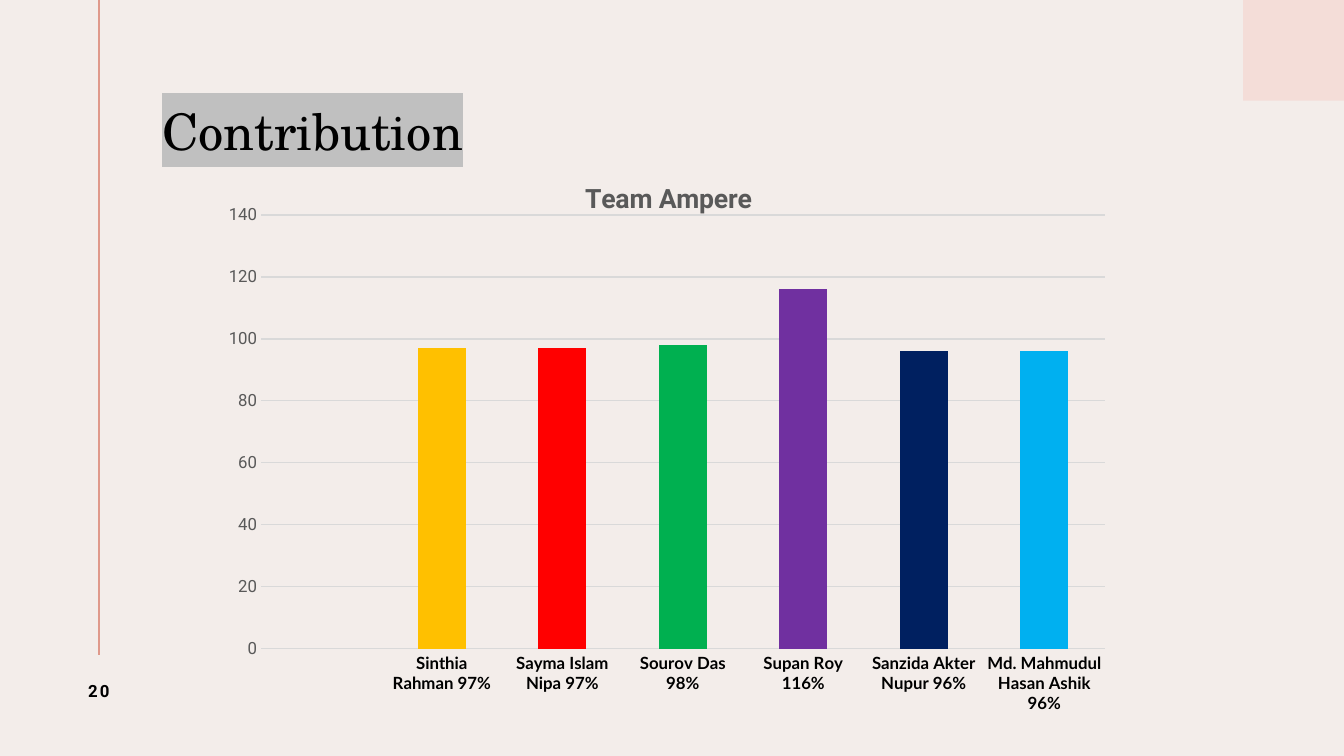
from dataclasses import dataclass

from lxml import etree
from pptx import Presentation
from pptx import util as u
from pptx.chart import data as chart_data
from pptx.dml.color import RGBColor
from pptx.enum import chart as charts, shapes, text
from pptx.oxml import ns

COLUMNS, ROWS = 133.3, 75
CELL = u.Inches(0.1)


@dataclass(frozen=True)
class Theme:
    background: str = "F3EDEA"
    corner: str = "F4DDD8"
    rule: str = "DF998B"
    ink: str = "000000"
    muted: str = "595959"
    grid: str = "D9D9D9"
    highlight: str = "C0C0C0"
    series: str = "58696B"
    heading_font: str = "TeX Gyre Schola"
    body_font: str = "Roboto"
    label_font: str = "Lato"
    heading_size: float = 36
    chart_title_size: float = 19
    label_size: float = 12
    chart_size: float = 10


MEMBERS = [
    ("Sinthia Rahman", 97, "FFC000"),
    ("Sayma Islam Nipa", 97, "FF0000"),
    ("Sourov Das", 98, "00B050"),
    ("Supan Roy", 116, "7030A0"),
    ("Sanzida Akter Nupur", 96, "002060"),
    ("Md. Mahmudul Hasan Ashik", 96, "00B0F0"),
]


def cells(*counts):
    """Turn counts of grid cells into lengths."""
    return [u.Emu(round(count * CELL)) for count in counts]


def rgb(value):
    return RGBColor.from_string(value)


def style_font(font, name, size, color, bold=False):
    font.name, font.size, font.bold = name, u.Pt(size), bold
    font.color.rgb = rgb(color)


def write(paragraph, words, highlight=None, spacing=None, align=None,
          line_spacing=None, **font):
    """Add a formatted run; spacing is in points between letters."""
    run = paragraph.add_run()
    run.text = words
    style_font(run.font, **font)
    if align is not None:
        paragraph.alignment = align
    if line_spacing:
        paragraph.line_spacing = line_spacing
    properties = run.font.fill._xPr
    if spacing:
        properties.set("spc", str(round(spacing * 100)))
    if highlight:
        mark = etree.Element(ns.qn("a:highlight"))
        etree.SubElement(mark, ns.qn("a:srgbClr"), val=highlight)
        properties.find(ns.qn("a:solidFill")).addnext(mark)


def place_manually(parent, **settings):
    """Give a chart title or plot area a fixed layout, in shares of the chart."""
    layout = parent.find(ns.qn("c:layout"))
    if layout is None:
        layout = etree.Element(ns.qn("c:layout"))
        words = parent.find(ns.qn("c:tx"))
        if words is None:
            parent.insert(0, layout)
        else:
            words.addnext(layout)
    for child in list(layout):
        layout.remove(child)
    manual = etree.SubElement(layout, ns.qn("c:manualLayout"))
    for name, value in settings.items():
        etree.SubElement(manual, ns.qn(f"c:{name}"), val=str(value))


class SlideBuilder:
    def __init__(self, presentation, theme):
        self.theme = theme
        self.slide = presentation.slides.add_slide(presentation.slide_layouts[5])
        fill = self.slide.background.fill
        fill.solid()
        fill.fore_color.rgb = rgb(theme.background)

    def block(self, left, top, width, height, color):
        shape = self.slide.shapes.add_shape(
            shapes.MSO_SHAPE.RECTANGLE, *cells(left, top, width, height))
        shape.shadow.inherit = False
        shape.fill.solid()
        shape.fill.fore_color.rgb = rgb(color)
        shape.line.fill.background()

    def rule(self, x1, y1, x2, y2, color, weight):
        connector = self.slide.shapes.add_connector(
            shapes.MSO_CONNECTOR.STRAIGHT, *cells(x1, y1, x2, y2))
        connector.line.color.rgb = rgb(color)
        connector.line.width = u.Pt(weight)
        etree.SubElement(connector._element.spPr, ns.qn("a:effectLst"))

    def title(self, words, left, top, width, height):
        title = self.slide.shapes.title
        title.left, title.top, title.width, title.height = cells(left, top, width, height)
        frame = title.text_frame
        frame.margin_left = 0
        frame.vertical_anchor = text.MSO_ANCHOR.MIDDLE
        theme = self.theme
        write(frame.paragraphs[0], words, name=theme.heading_font,
              size=theme.heading_size, color=theme.ink, highlight=theme.highlight,
              align=text.PP_ALIGN.LEFT, line_spacing=0.9)

    def page_number(self, words, left, top, width, height):
        frame = self.slide.shapes.add_textbox(*cells(left, top, width, height)).text_frame
        frame.word_wrap = True
        frame.vertical_anchor = text.MSO_ANCHOR.MIDDLE
        theme = self.theme
        write(frame.paragraphs[0], words, name=theme.body_font, size=theme.label_size,
              color=theme.ink, bold=True, spacing=1.5, align=text.PP_ALIGN.CENTER)

    def column_chart(self, heading, members, left, top, width, height):
        """Draw one coloured column per member, after an empty first category."""
        theme = self.theme
        data = chart_data.CategoryChartData()
        data.categories = [""] + [f"{name} {share}%" for name, share, _ in members]
        data.add_series("Series 1", [None] + [share for _, share, _ in members])
        chart = self.slide.shapes.add_chart(
            charts.XL_CHART_TYPE.COLUMN_STACKED,
            *cells(left, top, width, height), data).chart
        style_font(chart.font, theme.body_font, theme.chart_size, theme.ink)
        chart.has_legend = False

        chart.has_title = True
        write(chart.chart_title.text_frame.paragraphs[0], heading, name=theme.body_font,
              size=theme.chart_title_size, color=theme.muted, bold=True)
        chart.chart_title.include_in_layout = False
        place_manually(chart.chart_title._element, xMode="edge", yMode="edge",
                       x=0.41, y=0.03)

        plot = chart.plots[0]
        plot.gap_width, plot.overlap, plot.vary_by_categories = 150, 100, False
        place_manually(plot._element.getparent(), layoutTarget="inner", xMode="edge",
                       yMode="edge", x=0.054, y=0.095, w=0.941, h=0.726)
        series = plot.series[0]
        series.format.fill.solid()
        series.format.fill.fore_color.rgb = rgb(theme.series)
        for index, (_, _, color) in enumerate(members, start=1):
            fill = series.points[index].format.fill
            fill.solid()
            fill.fore_color.rgb = rgb(color)

        for axis in (chart.category_axis, chart.value_axis):
            axis.major_tick_mark = axis.minor_tick_mark = charts.XL_TICK_MARK.NONE
            axis.format.line.fill.background()
        style_font(chart.category_axis.tick_labels.font, theme.label_font,
                   theme.label_size, theme.ink, bold=True)
        values = chart.value_axis
        style_font(values.tick_labels.font, theme.body_font, theme.label_size, theme.muted)
        values.minimum_scale, values.maximum_scale, values.major_unit = 0, 140, 20
        values.has_major_gridlines = True
        values.major_gridlines.format.line.color.rgb = rgb(theme.grid)
        values.major_gridlines.format.line.width = u.Pt(0.75)


def main():
    presentation = Presentation()
    presentation.slide_width, presentation.slide_height = cells(COLUMNS, ROWS)
    theme = Theme()
    builder = SlideBuilder(presentation, theme)
    builder.block(COLUMNS - 10, 0, 10, 10, theme.corner)
    builder.rule(9.8, 0, 9.8, 65, theme.rule, 1.5)
    builder.title("Contribution", 16.1, 5.5, 107.3, 15.6)
    builder.page_number("20", 4.5, 65, 10.6, 7.1)
    builder.column_chart("Team Ampere", MEMBERS, 21.1, 15.7, 88.9, 59.3)
    presentation.save("out.pptx")


if __name__ == "__main__":
    main()
